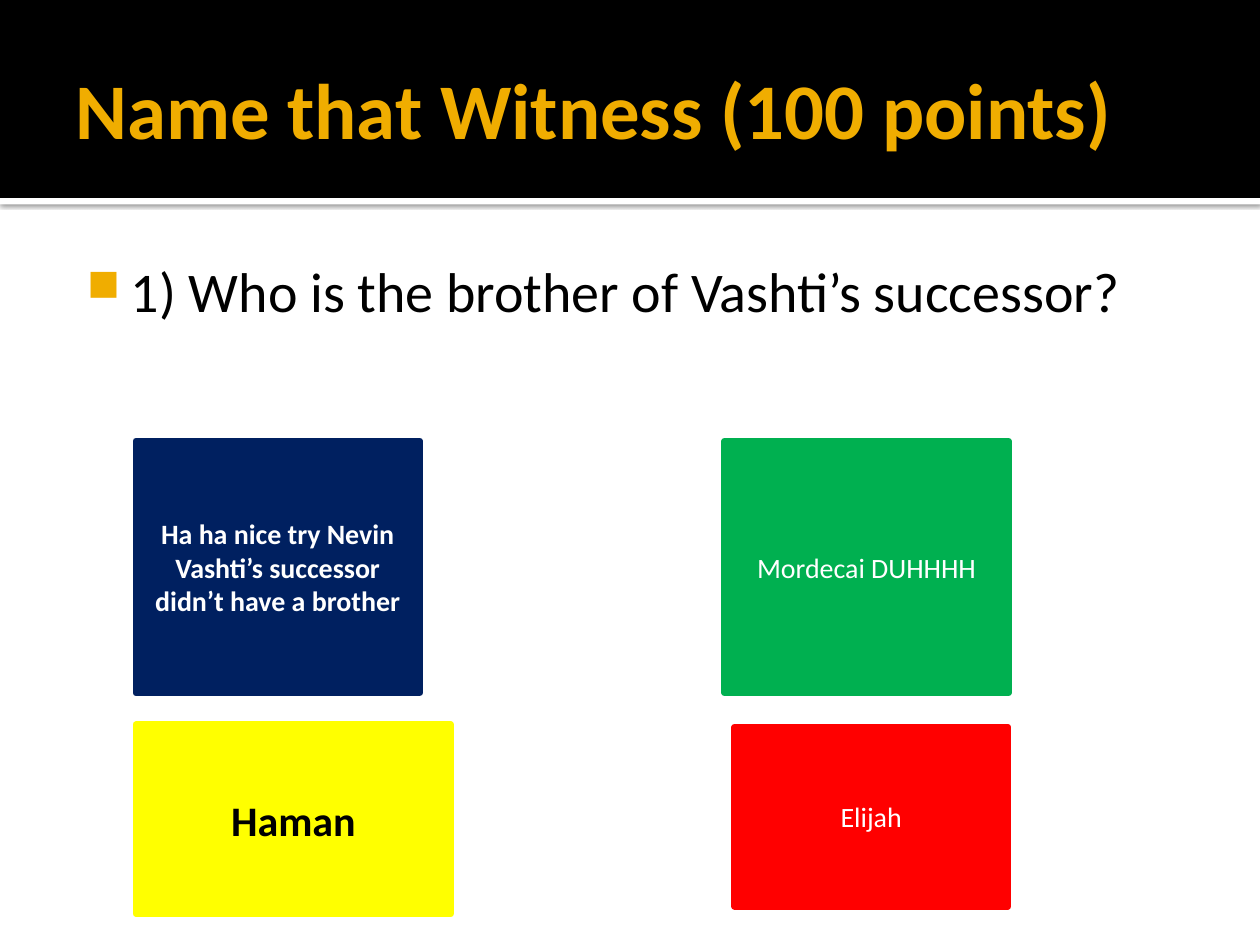
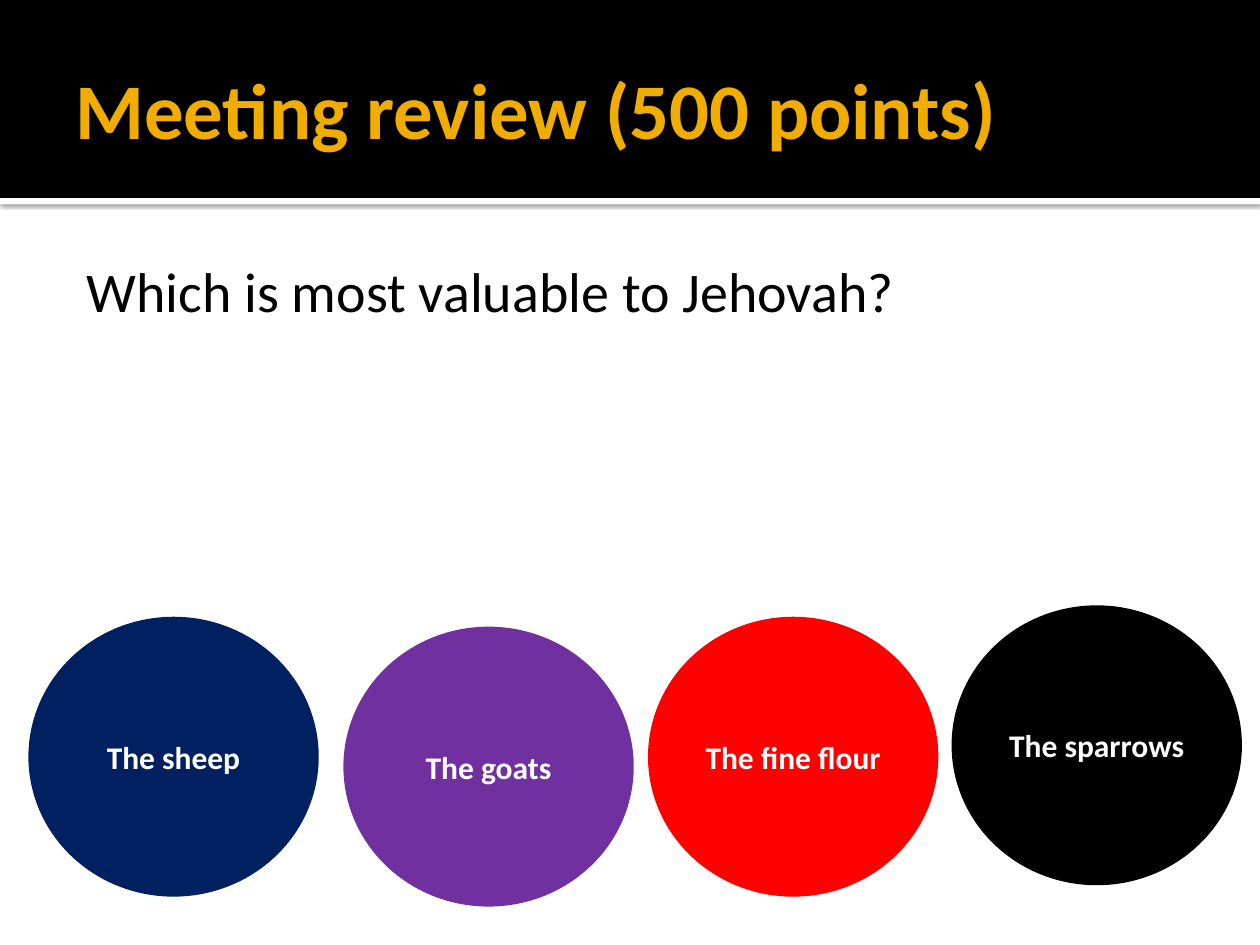
from collections import namedtuple
from dataclasses import dataclass

from lxml import etree
from pptx import Presentation, util as u
from pptx.dml.color import RGBColor
from pptx.enum import shapes, text
from pptx.oxml import ns

Box = namedtuple("Box", "left top width height")  # centimetres
Answer = namedtuple("Answer", "lines colour box size bold ink", defaults=(16, False, "FFFFFF"))


@dataclass(frozen=True)
class Theme:
    font: str = "Calibri"
    black: str = "000000"
    white: str = "FFFFFF"
    gold: str = "F0AD00"
    navy: str = "002060"
    green: str = "00B050"
    yellow: str = "FFFF00"
    red: str = "FF0000"
    purple: str = "7030A0"
    title_size: int = 45
    question_size: int = 32
    name_size: int = 24
    circle_size: int = 18
    outline: float = 3.78


THEME = Theme()
PAGE = Box(0, 0, 25.4, 19.05)
HEADER = Box(0, 0, PAGE.width, 3.99)
QUESTION = Box(1.27, 4.93, 22.86, 4.39)
TILES = Box(2.74, 8.89, 17.59, 9.53)
CIRCLES = Box(0.64, 12.27, 24.33, 5.94)


def within(area, box):
    """Turn a box measured from the corner of an area into a page box."""
    return Box(area.left + box.left, area.top + box.top, box.width, box.height)


def lengths(box):
    return [u.Cm(value) for value in box]


def set_all(target, values):
    for name, value in values.items():
        setattr(target, name, value)


def add_child(parent, tag, **attributes):
    return etree.SubElement(parent, ns.qn(tag), attributes)


def style_font(para, size, colour, bold=False):
    set_all(para.font, {"name": THEME.font, "size": u.Pt(size), "bold": bold})
    para.font.color.rgb = RGBColor.from_string(colour)


def add_block(page, box, colour, kind=shapes.MSO_SHAPE.RECTANGLE, outline=0):
    block = page.shapes.add_shape(kind, *lengths(box))
    block.shadow.inherit = False
    block.fill.solid()
    block.fill.fore_color.rgb = RGBColor.from_string(colour)
    if outline:
        block.line.color.rgb = RGBColor.from_string(colour)
        block.line.width = u.Pt(outline)
    else:
        block.line.fill.background()
    return block


def add_text(page, box, wording, margins, anchor):
    """Add a wrapped one-paragraph box and return its paragraph."""
    frame = page.shapes.add_textbox(*lengths(box)).text_frame
    sides = ("margin_left", "margin_top", "margin_right", "margin_bottom")
    set_all(frame, {"word_wrap": True, "vertical_anchor": anchor,
                    **dict(zip(sides, map(u.Cm, margins)))})
    para = frame.paragraphs[0]
    para.text = wording
    return para


def add_header(page, area, title):
    strip = add_block(page, within(area, Box(0, area.height, area.width, 0.13)), THEME.white)
    effects = strip._element.spPr.find(ns.qn("a:effectLst"))
    shadow = add_child(effects, "a:outerShdw", blurRad=str(u.Pt(2.5)), dist=str(u.Pt(0.8)),
                       dir="5400000", algn="t", rotWithShape="0")
    shade = add_child(shadow, "a:srgbClr", val=THEME.black)
    add_child(shade, "a:alpha", val="60000")
    add_block(page, area, THEME.black)
    para = add_text(page, within(area, Box(1.27, 0.43, 22.86, 3.48)), title,
                    (0.25, 0.13, 0.13, 0.13), text.MSO_ANCHOR.MIDDLE)
    style_font(para, THEME.title_size, THEME.gold, True)


def add_question(page, area, wording, bullet):
    para = add_text(page, area, wording, (0.15, 0.25, 0.25, 0.13), text.MSO_ANCHOR.TOP)
    layout = para._p.get_or_add_pPr()
    layout.set("marL", str(u.Cm(1.22)))
    layout.set("indent", str(u.Cm(-0.89)))
    if bullet:
        add_child(add_child(layout, "a:buClr"), "a:srgbClr", val=THEME.gold)
        add_child(layout, "a:buSzPct", val="80000")
        add_child(layout, "a:buChar", char="■")
    else:
        add_child(layout, "a:buNone")
    style_font(para, THEME.question_size, THEME.black)


def add_answers(page, area, kind, answers):
    for answer in answers:
        block = add_block(page, within(area, answer.box), answer.colour, kind, THEME.outline)
        frame = block.text_frame
        set_all(frame, {"word_wrap": True, "vertical_anchor": text.MSO_ANCHOR.MIDDLE})
        frame.text = "\n".join(answer.lines)
        for para in frame.paragraphs:
            para.alignment = text.PP_ALIGN.CENTER
            style_font(para, answer.size, answer.ink, answer.bold)


def add_quiz_page(deck, title, question, bullet, area, kind, answers):
    page = deck.slides.add_slide(deck.slide_layouts[6])
    add_header(page, HEADER, title)
    add_question(page, QUESTION, question, bullet)
    add_answers(page, area, kind, answers)


def witness_tiles():
    return [
        Answer(["Ha ha nice try Nevin", "Vashti’s successor didn’t have a brother"],
               THEME.navy, Box(0, 0, 5.72, 5.08), bold=True),
        Answer(["Mordecai DUHHHH"], THEME.green, Box(11.87, 0, 5.72, 5.08)),
        Answer(["Haman"], THEME.yellow, Box(0, 5.72, 6.35, 3.81),
               THEME.name_size, True, THEME.black),
        Answer(["Elijah"], THEME.red, Box(12.07, 5.77, 5.51, 3.61)),
    ]


def review_circles():
    choices = [
        ("The sheep", THEME.navy, 0, 0.23),
        ("The goats", THEME.purple, 6.35, 0.43),
        ("The fine flour", THEME.red, 12.49, 0.23),
        ("The sparrows", THEME.black, 18.61, 0),
    ]
    return [Answer([name], colour, Box(left, top, 5.72, 5.51), THEME.circle_size, True)
            for name, colour, left, top in choices]


def main():
    deck = Presentation()
    set_all(deck, {"slide_width": u.Cm(PAGE.width), "slide_height": u.Cm(PAGE.height)})
    add_quiz_page(deck, "Name that Witness (100 points)",
                  "1) Who is the brother of Vashti’s successor?", True,
                  TILES, shapes.MSO_SHAPE.RECTANGLE, witness_tiles())
    add_quiz_page(deck, "Meeting review (500 points)",
                  "Which is most valuable to Jehovah?", False,
                  CIRCLES, shapes.MSO_SHAPE.OVAL, review_circles())
    deck.save("out.pptx")


if __name__ == "__main__":
    main()
